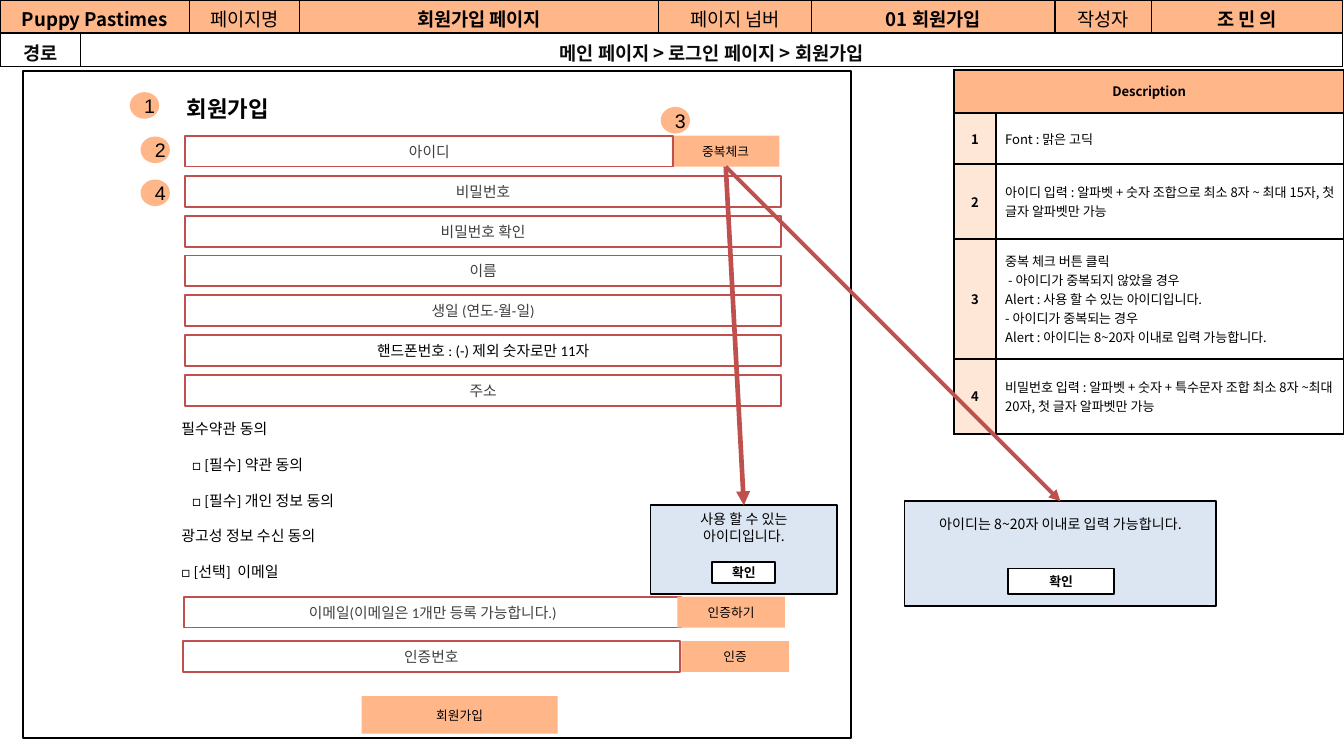
"""Build a sign-up page wireframe slide with its description table."""
from dataclasses import dataclass
from typing import NamedTuple

from lxml.etree import SubElement
from pptx import Presentation
from pptx.dml.color import RGBColor
from pptx.enum.shapes import MSO_CONNECTOR as Link, MSO_SHAPE as Kind
from pptx.enum.text import MSO_ANCHOR as Anchor, PP_ALIGN as Align
from pptx.oxml.ns import qn
from pptx.util import Inches, Pt


@dataclass(frozen=True)
class Theme:
    black: str = "000000"
    ink: str = "0C0C0C"
    gray: str = "3F3F3F"
    white: str = "FFFFFF"
    orange: str = "FFB689"
    peach: str = "FFE7D8"
    red: str = "C0504D"
    blue: str = "DCE6F2"
    sans: str = "Noto Sans CJK KR"
    form: str = "Calibri"
    label: str = "Arial"
    title: float = 12
    badge: float = 10.5
    header: float = 10
    terms: float = 8
    field: float = 7.9
    alert: float = 7.5
    table: float = 7
    confirm: float = 6.9
    button: float = 6.8


class Area(NamedTuple):
    left: float
    top: float
    width: float
    height: float


class Line(NamedTuple):
    text: str
    indent: float = 0


class Field(NamedTuple):
    text: str
    area: Area
    color: str


class Button(NamedTuple):
    text: str
    area: Area


class Alert(NamedTuple):
    lines: list
    area: Area
    confirm: Area
    spacing: float
    arrow: float


class Entry(NamedTuple):
    text: object
    bold: bool = False
    fill: str = "FFFFFF"
    align: Align = Align.CENTER
    color: str = "000000"
    anchor: Anchor = Anchor.MIDDLE


THEME = Theme()
SLIDE_WIDTH = 10
SLIDE_HEIGHT = SLIDE_WIDTH * 9 / 16
FORM_LEFT, FORM_TOP, FORM_WIDTH, FIELD_HEIGHT = 1.38, 1.31, 4.43, 0.23
FIELD_PITCH = (2.79 - FORM_TOP) / 5
FORM_LABELS = ["비밀번호", "비밀번호 확인", "이름", "생일 (연도-월-일)",
               "핸드폰번호 : (-) 제외 숫자로만 11자", "주소"]
FIELDS = [
    Field("아이디", Area(FORM_LEFT, 1.01, 3.63, FIELD_HEIGHT), THEME.gray),
    Field("이메일(이메일은 1개만 등록 가능합니다.)", Area(1.37, 4.44, 3.7, FIELD_HEIGHT), THEME.gray),
    Field("인증번호", Area(1.36, 4.77, 3.7, FIELD_HEIGHT), THEME.gray),
] + [
    Field(text, Area(FORM_LEFT, FORM_TOP + FIELD_PITCH * index, FORM_WIDTH, FIELD_HEIGHT),
          THEME.black if text.startswith("핸드폰") else THEME.gray)
    for index, text in enumerate(FORM_LABELS)
]
CHECK = Button("중복체크", Area(5, 1.01, 0.8, FIELD_HEIGHT))
BUTTONS = [
    Button("회원가입", Area(2.69, 5.18, 1.46, 0.28)),
    Button("인증하기", Area(5.04, 4.44, 0.8, FIELD_HEIGHT)),
    Button("인증", Area(5.07, 4.77, 0.8, FIELD_HEIGHT)),
]
BADGES = [(0.98, 0.7), (1.06, 1.03), (4.93, 0.81), (1.06, 1.35)]
ALERTS = [
    Alert(["사용 할 수 있는", "아이디입니다."], Area(4.84, 3.76, 1.39, 0.66),
          Area(5.3, 4.18, 0.47, 0.16), 1, 2.5),
    Alert(["아이디는 8~20자 이내로 입력 가능합니다."], Area(6.73, 3.73, 2.32, 0.78),
          Area(7.5, 4.23, 0.79, 0.19), 1.5, 2),
]
TERMS = ["필수약관 동의", Line("□ [필수] 약관 동의", 0.08), Line("□ [필수] 개인 정보 동의", 0.08),
         "광고성 정보 수신 동의", "□ [선택]  이메일"]
DESCRIPTIONS = [
    ["Font : 맑은 고딕"],
    ["아이디 입력 : 알파벳 + 숫자 조합으로 최소 8자 ~ 최대 15자, 첫 글자 알파벳만 가능"],
    ["중복 체크 버튼 클릭", " - 아이디가 중복되지 않았을 경우",
     "Alert : 사용 할 수 있는 아이디입니다.", "- 아이디가 중복되는 경우",
     "Alert : 아이디는 8~20자 이내로 입력 가능합니다."],
    ["비밀번호 입력 : 알파벳 + 숫자 + 특수문자 조합 최소 8자 ~최대 20자, 첫 글자 알파벳만 가능"],
]
HEADINGS = ["Puppy Pastimes", None, "페이지명", "회원가입 페이지", "페이지 넘버", "01 회원가입",
            "작성자", "조 민 의"]
PLAIN_HEADINGS = {"페이지명", "페이지 넘버", "작성자"}


def rgb(color: str) -> RGBColor:
    return RGBColor.from_string(color)


def write(frame, lines, *, size: float, font: str, color: str = THEME.black, bold: bool = False,
          align: Align = Align.CENTER, spacing: float = 1) -> None:
    for index, item in enumerate([lines] if isinstance(lines, str) else lines):
        line = Line(item) if isinstance(item, str) else item
        para = frame.add_paragraph() if index else frame.paragraphs[0]
        para.alignment, para.line_spacing = align, spacing
        if line.indent:
            para._p.get_or_add_pPr().set("marL", str(Inches(line.indent)))
        span = para.add_run()
        span.text = line.text
        span.font.size, span.font.name, span.font.bold = Pt(size), font, bold
        span.font.color.rgb = rgb(color)


def set_frame(frame, anchor: Anchor) -> None:
    frame.word_wrap, frame.vertical_anchor = True, anchor
    frame.margin_left = frame.margin_right = Inches(0.07)
    frame.margin_top = frame.margin_bottom = Inches(0.04)


def add_box(shapes, area: Area, lines=(), *, kind: Kind = Kind.RECTANGLE, fill: str = "",
            line: str = "", weight: float = 1, anchor: Anchor = Anchor.MIDDLE, **style):
    box = shapes.add_shape(kind, *map(Inches, area))
    box.shadow.inherit = False
    if fill:
        box.fill.solid()
        box.fill.fore_color.rgb = rgb(fill)
    else:
        box.fill.background()
    if line:
        box.line.color.rgb, box.line.width = rgb(line), Pt(weight)
    else:
        box.line.fill.background()
    set_frame(box.text_frame, anchor)
    if lines:
        write(box.text_frame, lines, **style)
    return box


def add_label(shapes, area: Area, lines, **style) -> None:
    box = shapes.add_textbox(*map(Inches, area))
    set_frame(box.text_frame, Anchor.TOP)
    write(box.text_frame, lines, **style)


def add_button(shapes, button: Button):
    return add_box(shapes, button.area, button.text, fill=THEME.orange, size=THEME.button, font=THEME.label)


def add_alert(shapes, alert: Alert):
    group = shapes.add_group_shape().shapes
    panel = add_box(group, alert.area, alert.lines, fill=THEME.blue, line=THEME.black, anchor=Anchor.TOP,
                    size=THEME.alert, font=THEME.sans, spacing=alert.spacing)
    add_box(group, alert.confirm, "확인", fill=THEME.white, line=THEME.black,
            size=THEME.confirm, font=THEME.label, bold=True)
    return panel


def add_arrow(shapes, start, end, weight: float) -> None:
    arrow = shapes.add_connector(Link.STRAIGHT, 0, 0, 0, 0)
    arrow.begin_connect(start, 2)
    arrow.end_connect(end, 0)
    arrow.line.color.rgb, arrow.line.width = rgb(THEME.red), Pt(weight)
    SubElement(arrow.line._get_or_add_ln(), qn("a:tailEnd"), type="triangle")
    SubElement(arrow._element.spPr, qn("a:effectLst"))


def add_grid(shapes, area: Area, widths, heights, rows, merges, *, size: float, inset) -> None:
    table = shapes.add_table(len(heights), len(widths), *map(Inches, area)).table
    for column, width in zip(table.columns, widths):
        column.width = Inches(width)
    for row, height in zip(table.rows, heights):
        row.height = Inches(height)
    for row, first, last in merges:
        table.cell(row, first).merge(table.cell(row, last))
    for row, entries in enumerate(rows):
        for column, entry in enumerate(entries):
            cell = table.cell(row, column)
            cell.margin_left = cell.margin_right = Inches(inset[0])
            cell.margin_top = cell.margin_bottom = Inches(inset[1])
            for side in ("a:lnL", "a:lnR", "a:lnT", "a:lnB"):
                edge = SubElement(cell._tc.get_or_add_tcPr(), qn(side), w=str(Pt(1)))
                SubElement(SubElement(edge, qn("a:solidFill")), qn("a:srgbClr"), val=THEME.black)
            cell.fill.solid()
            cell.fill.fore_color.rgb = rgb(entry.fill)
            cell.vertical_anchor = entry.anchor
            if entry.text:
                write(cell.text_frame, entry.text, size=size, font=THEME.sans, color=entry.color,
                      bold=entry.bold, align=entry.align)


def main() -> None:
    deck = Presentation()
    deck.slide_width, deck.slide_height = Inches(SLIDE_WIDTH), Inches(SLIDE_HEIGHT)
    shapes = deck.slides.add_slide(deck.slide_layouts[6]).shapes

    add_box(shapes, Area(0.17, 0.53, 6.16, 4.96), line=THEME.black)
    add_label(shapes, Area(0.64, 0.67, 2.11, 0.27), "회원가입", size=THEME.title, font=THEME.form, bold=True)
    add_label(shapes, Area(1.28, 2.95, 3.36, 1.38), TERMS, size=THEME.terms, font=THEME.form,
              align=Align.LEFT, spacing=2)
    check = add_button(shapes, CHECK)
    for field in FIELDS:
        add_box(shapes, field.area, field.text, line=THEME.red, size=THEME.field, font=THEME.form,
                color=field.color)
    for button in BUTTONS:
        add_button(shapes, button)
    for number, (left, top) in enumerate(BADGES, 1):
        add_box(shapes, Area(left, top, 0.19, 0.17), str(number), kind=Kind.OVAL, fill=THEME.orange,
                line=THEME.orange, weight=2, size=THEME.badge, font=THEME.label)

    title = [Entry("Description", True, THEME.orange), Entry(None, fill=THEME.orange)]
    notes = [[Entry(str(number), True, THEME.peach), Entry(lines, align=Align.LEFT)]
             for number, lines in enumerate(DESCRIPTIONS, 1)]
    add_grid(shapes, Area(7.1, 0.52, 2.9, 2.72), [0.31, 2.59], [0.32, 0.38, 0.56, 0.89, 0.56],
             [title, *notes], [(0, 0, 1)], size=THEME.table, inset=(0.07, 0.03))
    for alert in ALERTS:
        add_arrow(shapes, check, add_alert(shapes, alert), alert.arrow)

    headings = [Entry(text, text not in PLAIN_HEADINGS, THEME.orange, anchor=Anchor.TOP) for text in HEADINGS]
    route = [Entry(text, True, color=THEME.ink)
             for text in ["경로", "메인 페이지 > 로그인 페이지 > 회원가입"] + [None] * 6]
    add_grid(shapes, Area(0, 0, 10, 0.48), [0.6, 0.81, 0.82, 2.67, 1.14, 1.81, 0.72, 1.42], [0.24, 0.24],
             [headings, route], [(0, 0, 1), (1, 1, 7)], size=THEME.header, inset=(0.09, 0.04))
    deck.save("out.pptx")


if __name__ == "__main__":
    main()
